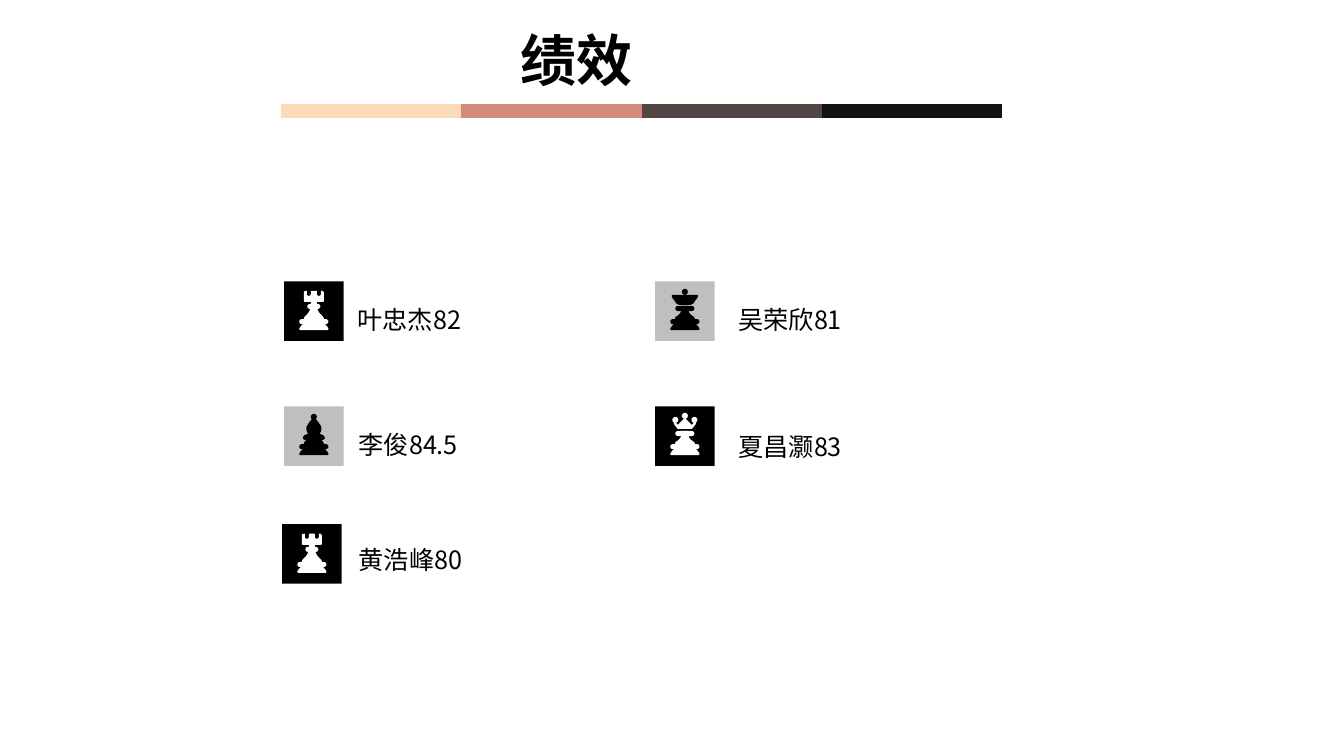
from lxml.etree import SubElement
from pptx import Presentation
from pptx.dml.color import RGBColor
from pptx.enum.shapes import MSO_CONNECTOR, MSO_SHAPE as SHAPE
from pptx.enum.text import MSO_ANCHOR as ANCHOR
from pptx.oxml.ns import qn
from pptx.util import Cm, Pt

BLACK, WHITE, GREY = "000000", "FFFFFF", "BFBFBF"
BAR_COLORS = ["FDDAB8", "D28C79", "534544", "121212"]
TILE = 1.5
UNITS_PER_CM = 39.4  # chess pieces are drawn on a fine grid

# Right halves of the outlines, from the piece's axis and the top of its base:
# pairs are corners, sixes are Bezier curves
FOOT = [(5, 1), (7, 1, 8, 2, 10, 3), (11, 5), (14, 8, 16, 11, 13, 11)]
ARCH = [(0, -21), (2, -21, 3, -19, 3, -15), (3, -4, 10, -4, 10, 0), (0, 1)]
SKIRT = [(3, -13), (3, -2, 10, -4, 10, 0), (0, 1)]
BATTLEMENT = [(3, -28), (3, -25), (3, -25, 3, -23, 5, -23),
              (7, -23, 7, -25, 7, -25), (7, -28), (8, -28),
              (9, -28, 10, -27, 10, -26), (10, -18),
              (10, -17, 9, -17, 8, -17)]
BISHOP_COLLAR = [(0, -12), (1, -12), (9, -9), (10, -8, 11, -7, 11, -6),
                 (10, -4, 9, -4, 8, -4), (0, -7)]
MITRE = [(0, -27), (0, -27, 7.5, -19, 7.5, -16), (7.5, -10, 4, -8, 0, -8)]
CROWN = [(0, -26), (7, -19), (11, -24), (11, -20), (7, -15)]
BOWL = [(12, -24), (14, -24, 13, -21, 10, -18), (9, -16),
        (8, -15, 6, -14, 5, -14)]

# Each piece: outlines, discs (width, top), balls (centre, top)
PIECES = {
    "rook": ([FOOT, ARCH, BATTLEMENT], [(29, 0), (13, -15)], []),
    "bishop": ([FOOT, ARCH, BISHOP_COLLAR, MITRE], [(29, 0)], [(0, -30)]),
    "queen": ([FOOT, SKIRT, CROWN], [(29, 0), (19, -13)],
              [(0, -31), (-9.5, -27), (9.5, -27)]),
    "king": ([FOOT, SKIRT, BOWL], [(29, 0), (19, -13)], [(0, -30)]),
}

# Name and score, piece, piece colour, tile colour, tile place, text place
MEMBERS = [
    ("叶忠杰82", "rook", WHITE, BLACK, (7.16, 7.09), (8.76, 6.58)),
    ("李俊84.5", "bishop", BLACK, GREY, (7.16, 10.24), (8.79, 9.73)),
    ("夏昌灏83", "queen", WHITE, BLACK, (16.51, 10.24), (18.36, 9.8)),
    ("吴荣欣81", "king", BLACK, GREY, (16.51, 7.09), (18.36, 6.6)),
    ("黄浩峰80", "rook", WHITE, BLACK, (7.11, 13.21), (8.79, 12.65)),
]


def rgb(color):
    return RGBColor.from_string(color)


def half_outline(parts, steps=8):
    """Turn corners and Bezier curves into a list of points."""
    points = [parts[0]]
    for part in parts[1:]:
        if len(part) == 2:
            points.append(part)
            continue
        x0, y0 = points[-1]
        x1, y1, x2, y2, x3, y3 = part
        for i in range(1, steps + 1):
            t = i / steps
            a, b, c, d = (1 - t) ** 3, 3 * t * (1 - t) ** 2, 3 * t * t * (1 - t), t ** 3
            points.append((a * x0 + b * x1 + c * x2 + d * x3,
                           a * y0 + b * y1 + c * y2 + d * y3))
    return points


class Deck:
    def __init__(self, prs):
        self.s = prs.slides.add_slide(prs.slide_layouts[6])
        self.title_font = "League Spartan"
        self.body_font = "Noto Sans CJK SC"

    def paint(self, sp, color):
        sp.shadow.inherit = False
        sp.fill.solid()
        sp.fill.fore_color.rgb = rgb(color)
        sp.line.fill.background()

    def shape(self, kind, x, y, w, h, color):
        sp = self.s.shapes.add_shape(kind, Cm(x), Cm(y), Cm(w), Cm(h))
        self.paint(sp, color)
        return sp

    def line(self, x1, x2, y, color, width):
        ln = self.s.shapes.add_connector(
            MSO_CONNECTOR.STRAIGHT, Cm(x1), Cm(y), Cm(x2), Cm(y))
        ln.line.color.rgb = rgb(color)
        ln.line.width = Pt(width)
        SubElement(ln._element.spPr, qn("a:effectLst"))

    def text(self, words, x, y, w, h, size, font, spacing, anchor,
             top=0.13, bottom=0.13, bold=False):
        tf = self.s.shapes.add_textbox(Cm(x), Cm(y), Cm(w), Cm(h)).text_frame
        tf.word_wrap = True
        tf.vertical_anchor = anchor
        tf.margin_top, tf.margin_bottom = Cm(top), Cm(bottom)
        p = tf.paragraphs[0]
        p.line_spacing = spacing
        r = p.add_run()
        r.text = words
        r.font.size, r.font.bold, r.font.name = Pt(size), bold, font
        r.font.color.rgb = rgb(BLACK)
        SubElement(r._r.get_or_add_rPr(), qn("a:ea")).set("typeface", font)

    def outline(self, half, x, y, color):
        right = half_outline(half)
        points = right + [(-px, py) for px, py in reversed(right)]
        spots = [(Cm(x + px / UNITS_PER_CM), Cm(y + py / UNITS_PER_CM))
                 for px, py in points]
        builder = self.s.shapes.build_freeform(*spots[0])
        builder.add_line_segments(spots[1:], close=True)
        self.paint(builder.convert_to_shape(), color)

    def piece(self, name, x, y, color):
        outlines, discs, balls = PIECES[name]
        u = 1 / UNITS_PER_CM
        for half in outlines:
            self.outline(half, x, y, color)
        for width, top in discs:
            sp = self.shape(SHAPE.ROUNDED_RECTANGLE, x - width * u / 2,
                            y + top * u, width * u, 5 * u, color)
            sp.adjustments[0] = 0.5
        for centre, top in balls:
            self.shape(SHAPE.OVAL, x + (centre - 3) * u, y + top * u,
                       6 * u, 6 * u, color)


def main():
    prs = Presentation()
    prs.slide_width, prs.slide_height = Cm(33.87), Cm(19.05)
    deck = Deck(prs)

    # Title and four-colour bar
    for i, color in enumerate(BAR_COLORS):
        left = 7.09 + i * 4.54
        deck.line(left, left + 4.55, 2.79, color, 10)
    deck.text("绩效", 12.88, 0.84, 12.12, 1.02, 40, deck.title_font, 0.9,
              ANCHOR.TOP, top=0, bold=True)

    # Members with their chess pieces and scores
    for words, name, color, back, (x, y), (text_x, text_y) in MEMBERS:
        deck.shape(SHAPE.RECTANGLE, x, y, TILE, TILE, back)
        deck.piece(name, x + TILE / 2, y + 0.95, color)
        deck.text(words, text_x, text_y, 7.54, 2.44, 18, deck.body_font, 1.5,
                  ANCHOR.BOTTOM, bottom=0.6)

    prs.save("out.pptx")


if __name__ == "__main__":
    main()
